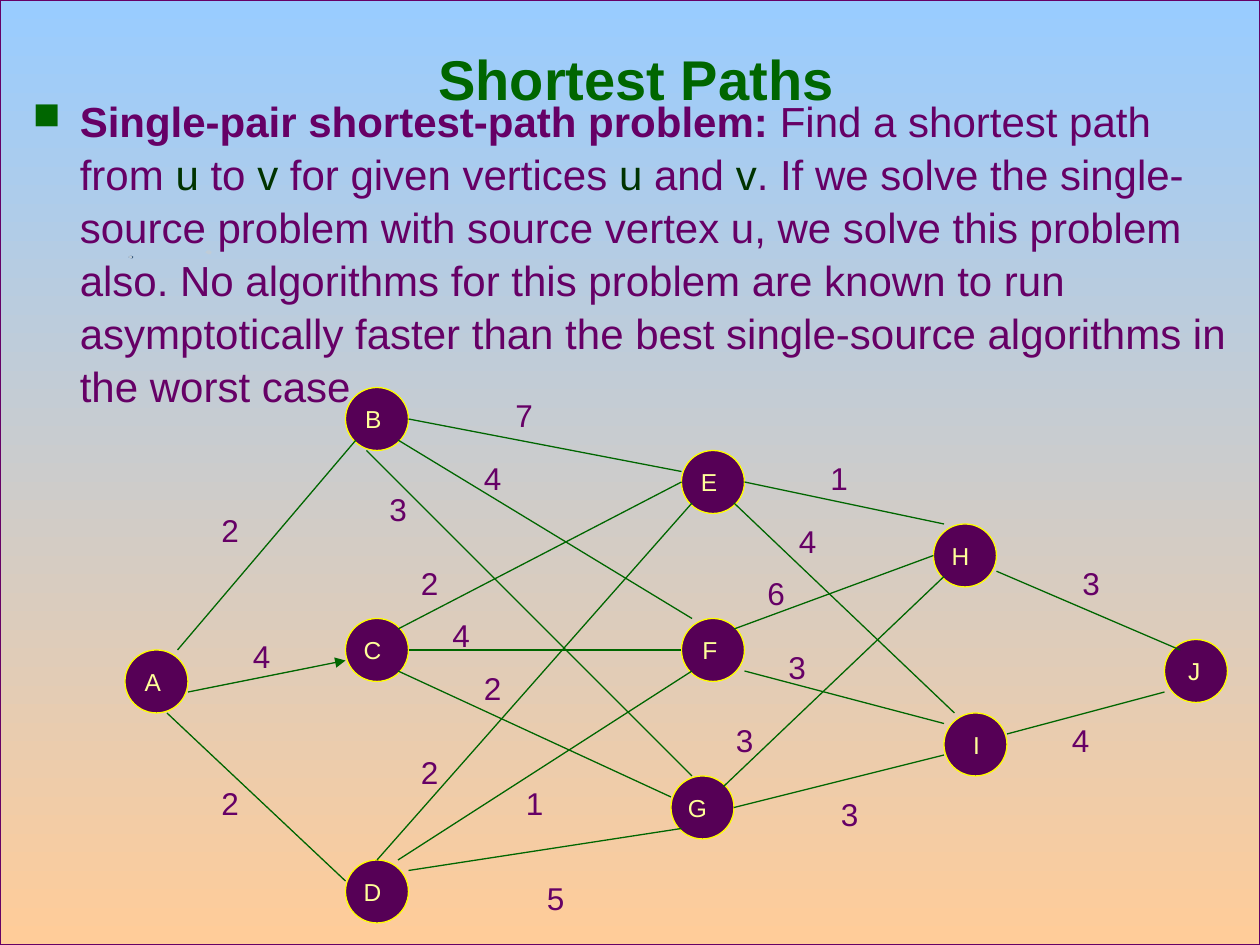
from dataclasses import dataclass

from lxml.etree import SubElement
from pptx import Presentation
from pptx.dml.color import RGBColor
from pptx.enum.shapes import MSO_CONNECTOR, MSO_SHAPE
from pptx.enum.text import MSO_ANCHOR, PP_ALIGN
from pptx.oxml.ns import qn
from pptx.util import Cm, Pt


@dataclass(frozen=True)
class Theme:
    font: str = "Arial"
    sky: str = "99CCFF"
    sand: str = "FFCC99"
    purple: str = "660066"
    green: str = "006600"
    vertex_name: str = "003300"
    node_fill: str = "560056"
    node_line: str = "FFFF00"
    node_text: str = "FFFF99"
    speck_dark: str = "284C70"
    speck_light: str = "BFCCD8"
    title_size: int = 32
    body_size: int = 24
    weight_size: int = 18
    node_size: int = 14
    line_width: float = 0.75


THEME = Theme()
GRID_STEP = 2.54 / 12
NODE_SPAN = 6

NODES = {
    "A": (12, 62), "B": (33, 37), "C": (33, 59), "D": (33, 82), "E": (65, 43),
    "F": (65, 59), "G": (64, 74), "H": (89, 50), "I": (90, 68), "J": (111, 61),
}

EDGES = [
    ((17, 62), (34, 42), "2", (20, 48)),
    ((18, 66), (33, 63), "4", (23, 60)),
    ((16, 68), (33, 84), "2", (20, 74)),
    ((39, 40), (65, 45), "7", (48, 37)),
    ((66, 59), (38, 42), "4", (45, 43)),
    ((66, 74), (35, 43), "3", (36, 46)),
    ((65, 46), (38, 60), "2", (39, 53)),
    ((39, 62), (65, 62), "4", (42, 58)),
    ((38, 64), (64, 76), "2", (45, 63)),
    ((36, 82), (66, 48), "2", (39, 71)),
    ((66, 64), (38, 82), "1", (49, 74)),
    ((39, 83), (65, 79), "5", (51, 83)),
    ((71, 46), (90, 50), "1", (78, 43)),
    ((91, 68), (70, 48), "4", (75, 49)),
    ((89, 53), (70, 60), "6", (72, 54)),
    ((71, 64), (90, 69), "3", (74, 61)),
    ((90, 55), (69, 75), "3", (69, 68)),
    ((90, 72), (70, 77), "3", (79, 75)),
    ((95, 54.5), (112.5, 62), "3", (102, 53)),
    ((111, 66), (96, 70), "4", (101, 68)),
]
DIRECTED_EDGE = ((18, 66), (33, 63))

PROBLEM = [
    ("Single-pair shortest-path problem: ", THEME.purple, True),
    ("Find a shortest path from ", THEME.purple, False),
    ("u", THEME.vertex_name, False),
    (" to ", THEME.purple, False),
    ("v", THEME.vertex_name, False),
    (" for given vertices ", THEME.purple, False),
    ("u", THEME.vertex_name, False),
    (" and ", THEME.purple, False),
    ("v", THEME.vertex_name, False),
    (". If we solve the single-source problem with source vertex u, we solve "
     "this problem also. No algorithms for this problem are known to run "
     "asymptotically faster than the best single-source algorithms in the "
     "worst case.", THEME.purple, False),
]


def color(value):
    return RGBColor.from_string(value)


def on_grid(point):
    return [Cm(step * GRID_STEP - 0.02) for step in point]


def write_text(frame, runs, size, align=PP_ALIGN.LEFT, anchor=MSO_ANCHOR.TOP,
               insets=(0.25, 0.13, 0.25, 0.13), spacing=None):
    frame.word_wrap = True
    frame.vertical_anchor = anchor
    (frame.margin_left, frame.margin_top,
     frame.margin_right, frame.margin_bottom) = map(Cm, insets)
    paragraph = frame.paragraphs[0]
    paragraph.alignment = align
    paragraph.line_spacing = spacing
    for words, ink, bold in runs:
        run = paragraph.add_run()
        run.text = words
        run.font.name = THEME.font
        run.font.size = Pt(size)
        run.font.bold = bold
        run.font.color.rgb = color(ink)
    return paragraph


def add_bullet(paragraph):
    properties = paragraph._p.get_or_add_pPr()
    properties.set("marL", str(Cm(0.95)))
    properties.set("indent", str(Cm(-0.95)))
    bullet_color = SubElement(properties, qn("a:buClr"))
    SubElement(bullet_color, qn("a:srgbClr"), val=THEME.green)
    SubElement(properties, qn("a:buSzPct"), val="90000")
    SubElement(properties, qn("a:buChar"), char="■")


def outline(line, ink):
    line.color.rgb = color(ink)
    line.width = Pt(THEME.line_width)


def add_backdrop(slide, width, height):
    backdrop = slide.shapes.add_shape(MSO_SHAPE.RECTANGLE, 0, 0, width, height)
    backdrop.shadow.inherit = False
    backdrop.fill.gradient()
    backdrop.fill.gradient_angle = 270
    for stop, ink in zip(backdrop.fill.gradient_stops, (THEME.sky, THEME.sand)):
        stop.color.rgb = color(ink)
    outline(backdrop.line, THEME.purple)


def add_speck(slide, left, top, width, height, ink):
    corners = [(0.3, 0), (0.7, 0), (1, 0.4), (0.8, 1), (0.4, 0.9), (0, 0.5)]
    points = [(Cm(left + x * width), Cm(top + y * height)) for x, y in corners]
    builder = slide.shapes.build_freeform(*points[0])
    builder.add_line_segments(points[1:], close=True)
    speck = builder.convert_to_shape()
    speck.shadow.inherit = False
    speck.fill.solid()
    speck.fill.fore_color.rgb = color(ink)
    speck.line.fill.background()


def add_node(slide, name, corner):
    diameter = Cm(NODE_SPAN * GRID_STEP)
    node = slide.shapes.add_shape(MSO_SHAPE.OVAL, *on_grid(corner), diameter, diameter)
    node.shadow.inherit = False
    node.fill.solid()
    node.fill.fore_color.rgb = color(THEME.node_fill)
    outline(node.line, THEME.node_line)
    write_text(node.text_frame, [(name, THEME.node_text, False)], THEME.node_size,
               align=PP_ALIGN.RIGHT, anchor=MSO_ANCHOR.MIDDLE, insets=(0, 0, 0.36, 0))


def add_edge(slide, start, end):
    edge = slide.shapes.add_connector(
        MSO_CONNECTOR.STRAIGHT, *on_grid(start), *on_grid(end))
    outline(edge.line, THEME.green)
    if (start, end) == DIRECTED_EDGE:
        SubElement(edge.line._get_or_add_ln(), qn("a:tailEnd"), type="triangle")
    SubElement(edge._element.spPr, qn("a:effectLst"))


def add_weight(slide, weight, corner):
    label = slide.shapes.add_textbox(*on_grid(corner), Cm(0.84), Cm(1.07))
    write_text(label.text_frame, [(weight, THEME.purple, False)],
               THEME.weight_size, spacing=1.05)


def main():
    deck = Presentation()
    deck.slide_width, deck.slide_height = Cm(25.4), Cm(19.05)
    slide = deck.slides.add_slide(deck.slide_layouts[6])

    add_backdrop(slide, deck.slide_width, deck.slide_height)
    add_speck(slide, 2.59, 5.16, 0.1, 0.05, THEME.speck_dark)
    add_speck(slide, 2.59, 5.16, 0.08, 0.05, THEME.speck_light)
    add_speck(slide, 4.14, 5.05, 0.13, 0.08, THEME.speck_light)

    title = slide.shapes.add_textbox(Cm(2.03), Cm(0.89), Cm(21.59), Cm(2.34))
    write_text(title.text_frame, [("Shortest Paths", THEME.green, True)],
               THEME.title_size, align=PP_ALIGN.CENTER, insets=(0, 0, 0, 0))
    problem = slide.shapes.add_textbox(Cm(0.41), Cm(1.75), Cm(24.61), Cm(6.48))
    add_bullet(write_text(problem.text_frame, PROBLEM, THEME.body_size, spacing=1.05))

    for name, corner in NODES.items():
        add_node(slide, name, corner)
    for start, end, _, _ in EDGES:
        add_edge(slide, start, end)
    for _, _, weight, corner in EDGES:
        add_weight(slide, weight, corner)

    deck.save("out.pptx")


if __name__ == "__main__":
    main()
